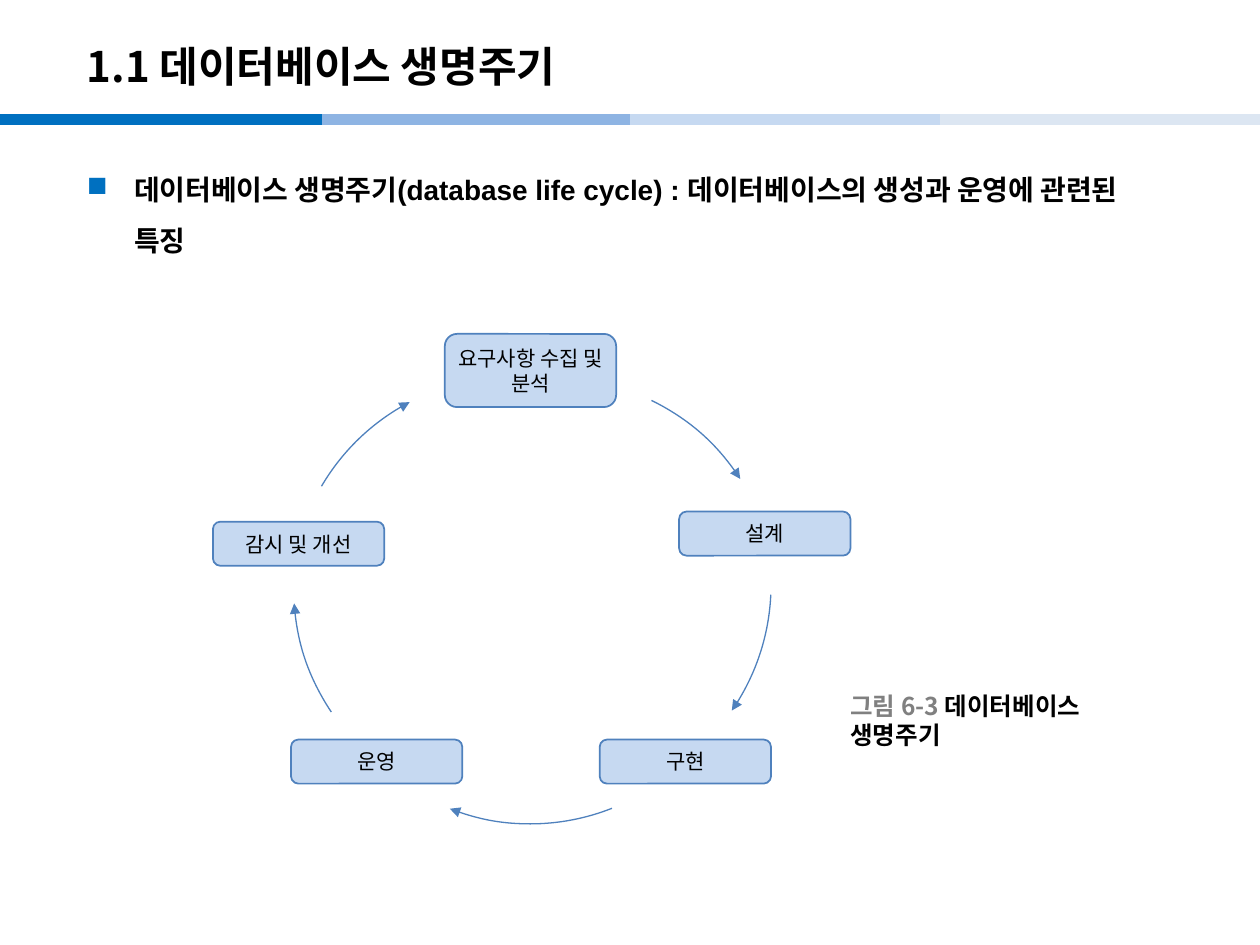
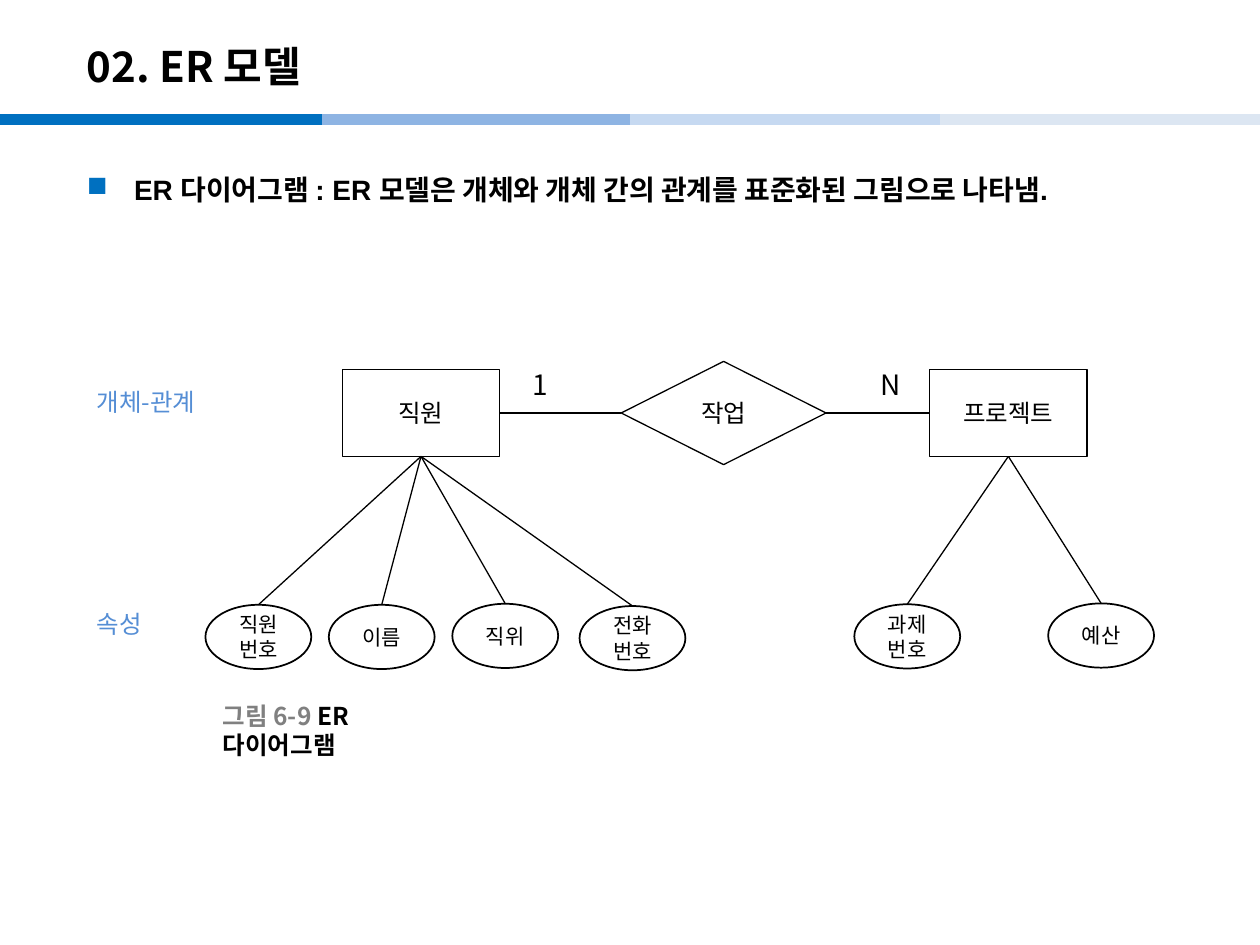
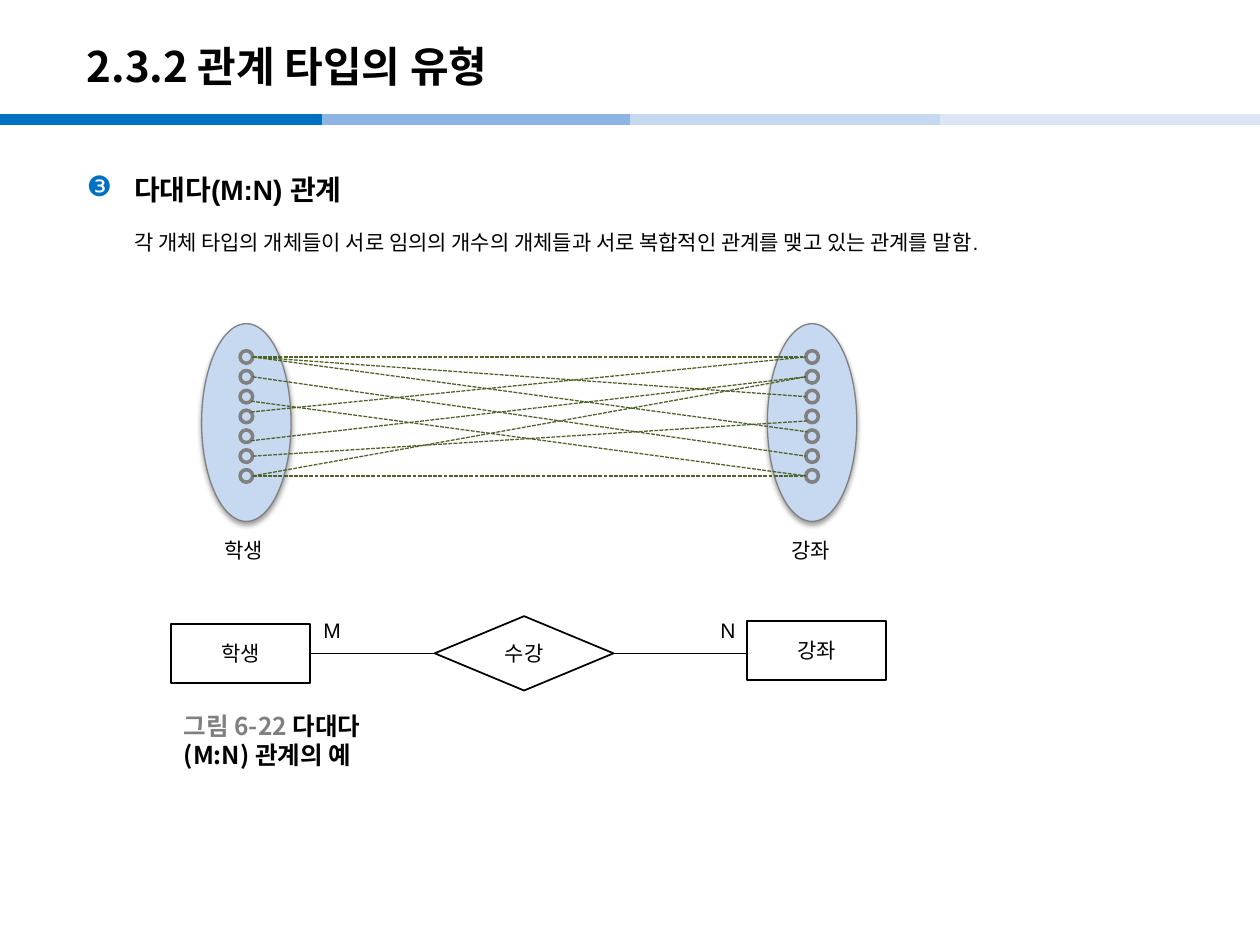
from dataclasses import dataclass
from typing import Any, NamedTuple

from lxml.etree import SubElement as Sub
from pptx import Presentation
from pptx.dml.color import RGBColor as Rgb
from pptx.enum.dml import MSO_LINE as Dash
from pptx.enum.shapes import MSO_CONNECTOR as Conn, MSO_SHAPE as Kind
from pptx.enum.text import MSO_ANCHOR as Anchor, PP_ALIGN as Align
from pptx.oxml.ns import qn
from pptx.util import Pt

HUES = {
    "black": "000000", "white": "FFFFFF", "gray": "808080",
    "blue": "0070C0", "mid": "8EB4E3", "light": "C6D9F1", "pale": "DCE6F2",
    "edge": "4F81BD", "sky": "558ED5", "green": "4F6228",
}
NOTO = "Noto Sans CJK KR"
ARIAL = "Arial"
BARS = {"blue": 0, "mid": 184.3, "light": 360, "pale": 537.1}
BAR_Y, BAR_LEN = 68.4, 184.3
HANG = 27
CENTER = {"alignment": Align.CENTER}
MIDDLE = {"vertical_anchor": Anchor.MIDDLE, "word_wrap": True}
TIGHT = MIDDLE | dict.fromkeys(
    ("margin_left", "margin_right", "margin_top", "margin_bottom"), Pt(3.6))
LOOSE = {"word_wrap": False}
CAPTION = MIDDLE | LOOSE
ARC_SIZE = 253.4
DOTS, DOT_SIZE, DOT_STEP = 7, 7.2, 11.33
SET_TOP = 185
DOT_TOP = SET_TOP + 15.4


class Box(NamedTuple):
    x: float
    y: float
    w: float
    h: float


class Run(NamedTuple):
    text: str
    size: float
    hue: str = "black"
    bold: bool = False
    font: str = NOTO


class Look(NamedTuple):
    fill: str = "white"
    edge: str = "black"
    width: float = 1


@dataclass
class Node:
    text: str
    box: Box


@dataclass
class Arc:
    x: float
    y: float
    start: float
    end: float


@dataclass
class Link:
    left: int
    right: int
    drop_l: int = 0
    drop_r: int = 0


TITLE_BOX = Box(42.5, 15.8, 595.4, 43.2)
BODY_BOX = Box(42.5, 85.7, 635, 430.6)
STEP_LOOK = Look("light", "edge")
THIN = Look(width=0.75)

STEPS = [
    Node("요구사항 수집 및 분석", Box(254.2, 190.8, 97.9, 41.8)),
    Node("설계", Box(388.1, 292.3, 97.9, 25.2)),
    Node("구현", Box(342.7, 422.6, 97.9, 25.2)),
    Node("운영", Box(166.3, 422.6, 97.9, 25.2)),
    Node("감시 및 개선", Box(121.7, 298.1, 97.9, 25.2)),
]
ARCS = [
    Arc(190.1, 216, 296, 327),
    Arc(187.2, 207.4, 2.6, 34.6),
    Arc(176.4, 217.4, 68.4, 111.3),
    Arc(167.8, 209.5, 146.1, 176.1),
    Arc(166.3, 215.3, 210.4, 242.3),
]
STAFF = [("직원번호", 117.4, 345.6), ("이름", 187.9, 345.6),
         ("직위", 258.5, 345), ("전화번호", 331.2, 346.3)]
TASKS = [("과제번호", 488.2, 345.3), ("예산", 599, 344.8)]
LINKS = [
    Link(0, 0), Link(0, 2), Link(0, 4, 0, -1), Link(3, 0, -1), Link(4, 1, 1),
    Link(2, 6, 1), Link(6, 1), Link(6, 6), Link(1, 5), Link(5, 3, 0, 1),
]


def style(item: Any, form: dict) -> None:
    for key, value in form.items():
        setattr(item, key, value)


def paint(line: Any, hue: str, width: float) -> None:
    line.color.rgb = Rgb.from_string(HUES[hue])
    line.width = Pt(width)


def write(para: Any, runs: list[Run], form: dict) -> None:
    style(para, form)
    for part in runs:
        run = para.add_run()
        run.text = part.text
        style(run.font, {"name": part.font, "size": Pt(part.size), "bold": part.bold})
        run.font.color.rgb = Rgb.from_string(HUES[part.hue])
        Sub(run.font._element, qn("a:ea"), typeface=NOTO)


def label(slide: Any, box: Box, runs: list[Run], form: dict) -> None:
    frame = slide.shapes.add_textbox(*map(Pt, box)).text_frame
    style(frame, form)
    write(frame.paragraphs[0], runs, {})


def caption(slide: Any, x: float, y: float, number: str, text: str) -> None:
    runs = [Run(number + " ", 14, "gray", True), Run(text, 14, bold=True)]
    label(slide, Box(x, y, 147.6, 22.3), runs, CAPTION)


def shape(slide: Any, kind: Any, box: Box, look: Look) -> Any:
    item = slide.shapes.add_shape(kind, *map(Pt, box))
    item.shadow.inherit = False
    item.fill.solid()
    item.fill.fore_color.rgb = Rgb.from_string(HUES[look.fill])
    paint(item.line, look.edge, look.width)
    return item


def block(slide: Any, kind: Any, node: Node, size: float,
          look: Look = Look(), form: dict = MIDDLE) -> Any:
    item = shape(slide, kind, node.box, look)
    style(item.text_frame, form)
    write(item.text_frame.paragraphs[0], [Run(node.text, size)], CENTER)
    return item


def line(slide: Any, ends: tuple, hue: str = "black", width: float = 0.75) -> Any:
    item = slide.shapes.add_connector(Conn.STRAIGHT, *map(Pt, ends))
    paint(item.line, hue, width)
    Sub(item._element.spPr, qn("a:effectLst"))
    return item


def join(slide: Any, first: Any, side: int, last: Any, into: int) -> None:
    item = line(slide, (0, 0, 0, 0))
    item.begin_connect(first, side)
    item.end_connect(last, into)


def bullet(para: Any, mark: str) -> None:
    props = para._p.get_or_add_pPr()
    props.set("marL", str(Pt(HANG)))
    props.set("indent", str(-Pt(HANG) if mark else 0))
    if mark:
        hue = Sub(props, qn("a:buClr"))
        Sub(hue, qn("a:srgbClr"), val=HUES["blue"])
        Sub(props, qn("a:buChar"), char=mark)
    else:
        Sub(props, qn("a:buNone"))


def start(deck: Any, title: str, mark: str, head: str, note: str = "") -> Any:
    slide = deck.slides.add_slide(deck.slide_layouts[6])
    for hue, x in BARS.items():
        line(slide, (x, BAR_Y, x + BAR_LEN, BAR_Y), hue, 6)
    label(slide, TITLE_BOX, [Run(title, 24, bold=True)], MIDDLE)
    frame = slide.shapes.add_textbox(*map(Pt, BODY_BOX)).text_frame
    frame.word_wrap = True
    para = frame.paragraphs[0]
    bullet(para, mark)
    write(para, [Run(head, 16, bold=True, font=ARIAL)], {"line_spacing": 1.5})
    if note:
        para = frame.add_paragraph()
        bullet(para, "")
        write(para, [Run(note, 12, font=ARIAL)],
              {"line_spacing": 1.5, "space_before": Pt(6)})
    return slide


def bend(slide: Any, arc: Arc) -> None:
    item = slide.shapes.add_shape(
        Kind.ARC, *map(Pt, (arc.x, arc.y, ARC_SIZE, ARC_SIZE)))
    item.shadow.inherit = False
    item.fill.background()
    paint(item.line, "edge", 0.75)
    for index, angle in enumerate((arc.start, arc.end)):
        item.adjustments[index] = angle * 0.6
    Sub(item.line._get_or_add_ln(), qn("a:tailEnd"), type="triangle")


def cycle(deck: Any) -> None:
    slide = start(deck, "1.1 데이터베이스 생명주기", "■",
                  "데이터베이스 생명주기(database life cycle) : "
                  "데이터베이스의 생성과 운영에 관련된 특징")
    caption(slide, 478.8, 400.3, "그림 6-3", "데이터베이스 생명주기")
    for step, arc in zip(STEPS, ARCS):
        block(slide, Kind.ROUNDED_RECTANGLE, step, 12, STEP_LOOK, TIGHT)
        bend(slide, arc)


def model(deck: Any) -> None:
    slide = start(deck, "02. ER 모델", "■",
                  "ER 다이어그램 : ER 모델은 개체와 개체 간의 관계를 "
                  "표준화된 그림으로 나타냄.")
    staff, task = [
        block(slide, Kind.RECTANGLE, Node(text, Box(x, 211.2, 90, 49.6)), 14, THIN)
        for text, x in (("직원", 195.6), ("프로젝트", 531.2))]
    work = block(slide, Kind.DIAMOND, Node("작업", Box(355, 206.5, 117, 59)), 14, THIN)
    join(slide, staff, 3, work, 1)
    join(slide, work, 3, task, 1)
    for owner, traits in ((staff, STAFF), (task, TASKS)):
        for text, x, y in traits:
            oval = block(slide, Kind.OVAL, Node(text, Box(x, y, 60.5, 36.7)), 12)
            join(slide, owner, 2, oval, 0)
    for text, x, y, w, size, hue in (
            ("1", 297.4, 206.6, 23.8, 16, "black"),
            ("N", 496.1, 206.6, 26.6, 16, "black"),
            ("개체-관계", 48.2, 217.4, 77, 14, "sky"),
            ("속성", 48.2, 344.2, 42.5, 14, "sky")):
        label(slide, Box(x, y, w, 25), [Run(text, size, hue)], LOOSE)
    caption(slide, 120.2, 406.1, "그림 6-9", "ER 다이어그램")


def group(slide: Any, x: float) -> None:
    oval = shape(slide, Kind.OVAL, Box(x, SET_TOP, 51.1, 113), Look("light", "gray", 0.75))
    glow = Sub(oval._element.spPr.find(qn("a:effectLst")), qn("a:outerShdw"),
               blurRad=str(Pt(3.1)), dist=str(Pt(1.6)), dir="5400000", rotWithShape="0")
    Sub(Sub(glow, qn("a:srgbClr"), val=HUES["black"]), qn("a:alpha"), val="38000")
    for row in range(DOTS):
        box = Box(x + 22, DOT_TOP + row * DOT_STEP, DOT_SIZE, DOT_SIZE)
        shape(slide, Kind.FLOWCHART_CONNECTOR, box, Look("light", "gray", 2))


def level(row: int, drop: int) -> float:
    return DOT_TOP + DOT_SIZE / 2 + row * DOT_STEP + drop * 2.55


def many(deck: Any) -> None:
    slide = start(deck, "2.3.2 관계 타입의 유형", "❸", "다대다(M:N) 관계",
                  "각 개체 타입의 개체들이 서로 임의의 개수의 개체들과 "
                  "서로 복합적인 관계를 맺고 있는 관계를 말함.")
    for x in (115.2, 438.5):
        group(slide, x)
    for link in LINKS:
        ends = (144.4 - abs(link.drop_l), level(link.left, link.drop_l),
                460.5 + abs(link.drop_r), level(link.right, link.drop_r))
        line(slide, ends, "green").line.dash_style = Dash.SQUARE_DOT
    pupil, _ = [
        block(slide, Kind.RECTANGLE, Node(text, Box(x, y, 79.2, 33.8)), 12)
        for text, x, y in (("학생", 97.9, 356.4), ("강좌", 427, 354.8))]
    line(slide, (177, 373.3, 427, 373.3)).begin_connect(pupil, 3)
    block(slide, Kind.FLOWCHART_DECISION, Node("수강", Box(248.4, 352.1, 102.2, 42.5)), 12)
    for text, x, y, w in (("학생", 121, 303.8, 38.9), ("강좌", 445, 303.8, 38.9),
                          ("M", 177.8, 349.2, 25.9), ("N", 404.6, 349.2, 23.8)):
        label(slide, Box(x, y, w, 21.6), [Run(text, 12, font=ARIAL)], LOOSE)
    caption(slide, 97.9, 411.8, "그림 6-22", "다대다(M:N) 관계의 예")


def main() -> None:
    deck = Presentation()
    style(deck, {"slide_width": Pt(720), "slide_height": Pt(540)})
    for build in (cycle, model, many):
        build(deck)
    deck.save("out.pptx")


if __name__ == "__main__":
    main()
